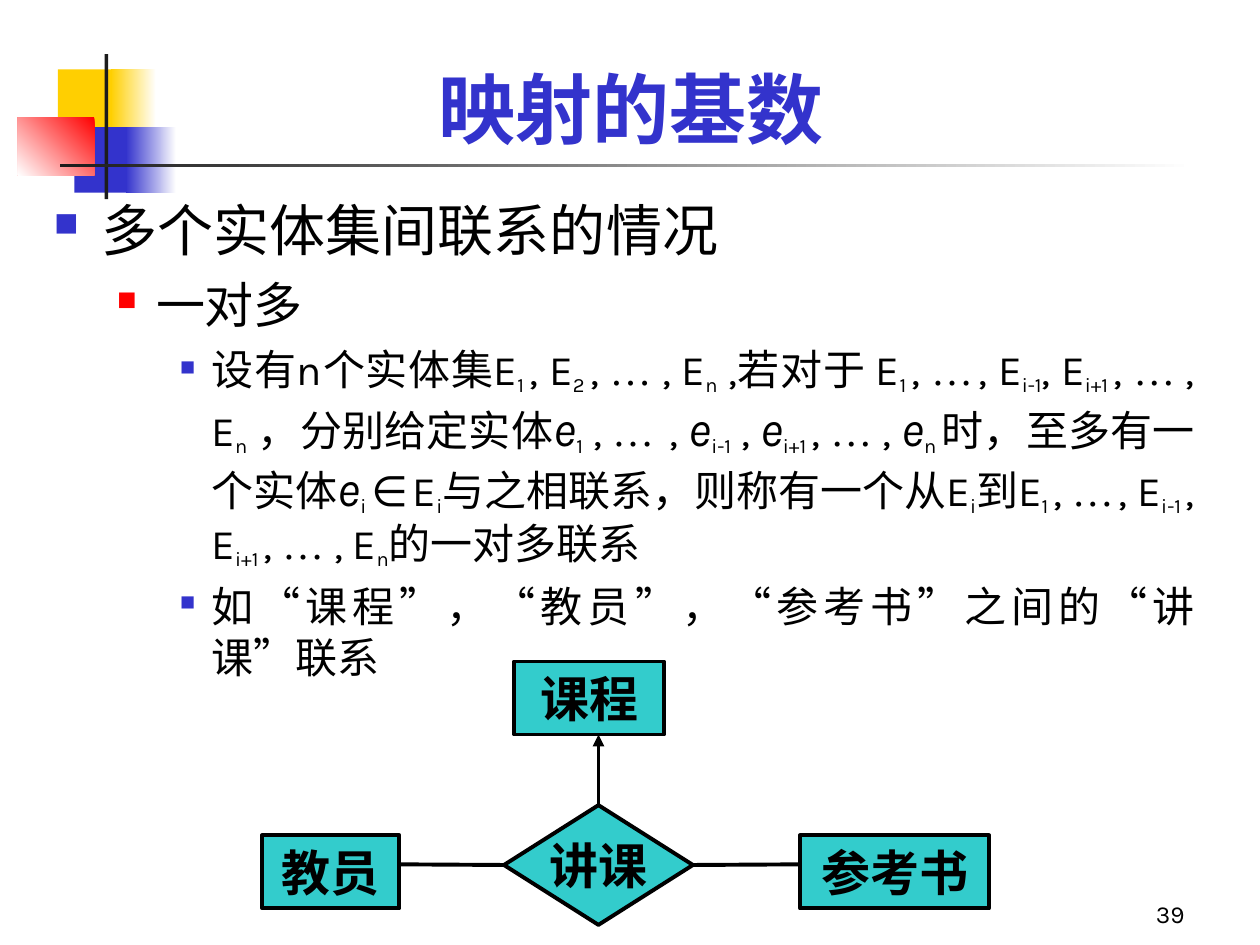
from itertools import groupby

from lxml import etree
from pptx import Presentation
from pptx.dml.color import RGBColor
from pptx.enum.shapes import MSO_CONNECTOR, MSO_SHAPE
from pptx.enum.text import MSO_ANCHOR, PP_ALIGN
from pptx.oxml.ns import qn
from pptx.util import Inches, Pt

RECTANGLE, DIAMOND = MSO_SHAPE.RECTANGLE, MSO_SHAPE.DIAMOND
STRAIGHT = MSO_CONNECTOR.STRAIGHT
TOP, MIDDLE, BOTTOM = MSO_ANCHOR.TOP, MSO_ANCHOR.MIDDLE, MSO_ANCHOR.BOTTOM
CENTER, RIGHT, JUSTIFY = PP_ALIGN.CENTER, PP_ALIGN.RIGHT, PP_ALIGN.JUSTIFY

BLACK = RGBColor(0x00, 0x00, 0x00)
WHITE = RGBColor(0xFF, 0xFF, 0xFF)
CHARCOAL = RGBColor(0x1C, 0x1C, 0x1C)
YELLOW = RGBColor(0xFF, 0xCF, 0x01)
BLUE = RGBColor(0x33, 0x33, 0xCC)
RED = RGBColor(0xFF, 0x00, 0x00)
TEAL = RGBColor(0x33, 0xCC, 0xCC)

SANS, SERIF = "Karla", "Times New Roman"
SERIF_MARKS = "…“”"
MODES = {"[": "sub", "<": "variable", "]": "plain", ">": "plain"}

LEVELS = [
    {"size": 32, "left": 0.38, "hang": 0.38, "before": 8, "bullet": BLUE, "scale": 60},
    {"size": 28, "left": 0.81, "hang": 0.31, "before": 7, "bullet": RED, "scale": 55},
    {"size": 24, "left": 1.25, "hang": 0.25, "before": 6, "bullet": BLUE, "scale": 50},
]

# fmt: off
POINTS = [
    (0, "多个实体集间联系的情况"),
    (1, "一对多"),
    (2, "设有n个实体集E[1 ], E[2 ], … , E[n] ,若对于 E[1 ], …[ ], E[i-1], E[i+1 ], … , E[n]"
        " ，分别给定实体<e>[1] , …[ ] , <e>[i-1] , <e>[i+1 ], … , <e>[n ]时，至多有一个实体"
        "<e>[i ]∈[ ]E[i]与之相联系，则称有一个从E[i]到E[1 ], …[ ], E[i-1 ], E[i+1 ], … , E[n]"
        "的一对多联系"),
    (2, "如“课程”，“教员”，“参考书”之间的“讲课”联系"),
]
# fmt: on


def set_format(target, values):
    """Set each attribute of the target from a dict of values."""
    for name, value in values.items():
        setattr(target, name, value)


def add_span(para, text, color, **values):
    """Append a run with its font values and colour."""
    span = para.add_run()
    span.text = text
    set_format(span.font, values)
    span.font.color.rgb = color
    return span


def add_text_box(page, box, anchor):
    """Add a wrapping text box and return its frame."""
    frame = page.shapes.add_textbox(*map(Inches, box)).text_frame
    set_format(frame, {"word_wrap": True, "vertical_anchor": anchor})
    return frame


def add_line_of_text(page, box, text, anchor, align, color, **values):
    """Add a text box that holds one plain line."""
    para = add_text_box(page, box, anchor).paragraphs[0]
    para.alignment = align
    add_span(para, text, color, **values)


def add_block(page, box, colors, angle=180):
    """Add a borderless rectangle with a solid or two-colour fill."""
    block = page.shapes.add_shape(RECTANGLE, *map(Inches, box))
    block.shadow.inherit = False
    block.line.fill.background()
    if len(colors) == 1:
        block.fill.solid()
        block.fill.fore_color.rgb = colors[0]
        return
    block.fill.gradient()
    block.fill.gradient_angle = angle
    for stop, color in zip(block.fill.gradient_stops, colors):
        stop.color.rgb = color


def add_ornament(page, left, top):
    """Place the coloured squares and the crossing rules."""
    blocks = [
        (0.32, 0.12, 0.48, 0.52, [YELLOW]),
        (0.74, 0.12, 0.36, 0.52, [WHITE, YELLOW]),
        (0.45, 0.58, 0.46, 0.52, [BLUE]),
        (0.86, 0.58, 0.4, 0.52, [WHITE, BLUE]),
        (0, 0.5, 0.61, 0.46, [RED, WHITE], 225),
        (0.69, 0, 0.03, 1.15, [CHARCOAL]),
        (0.34, 0.87, 9, 0.03, [WHITE, CHARCOAL]),
    ]
    for x, y, width, height, *paint in blocks:
        add_block(page, (left + x, top + y, width, height), *paint)


def add_bullet(para, level):
    """Give a paragraph the indent and square bullet of its level."""
    style = LEVELS[level]
    set_format(para, {"level": level, "alignment": JUSTIFY})
    properties = para._p.get_or_add_pPr()
    properties.set("marL", str(Inches(style["left"])))
    properties.set("indent", str(-Inches(style["hang"])))
    color = etree.SubElement(properties, qn("a:buClr"))
    etree.SubElement(color, qn("a:srgbClr"), val=str(style["bullet"]))
    etree.SubElement(properties, qn("a:buSzPct"), val=str(style["scale"] * 1000))
    etree.SubElement(properties, qn("a:buChar"), char="■")


def add_marked_text(para, text, size):
    """Write text where [ ] marks subscripts and < > marks variables."""
    mode, letters = "plain", []
    for letter in text:
        if letter in MODES:
            mode = MODES[letter]
        else:
            letters.append((letter, mode, SERIF if letter in SERIF_MARKS else SANS))
    sizes = {"plain": size, "sub": 20, "variable": 28}
    for (mode, font), group in groupby(letters, key=lambda item: item[1:]):
        words = "".join(item[0] for item in group)
        span = add_span(para, words, BLACK, name=font, size=Pt(sizes[mode]))
        if mode == "variable":
            span.font.italic = True
        elif mode == "sub":
            span.font._element.set("baseline", "-20000")


def add_points(page, box):
    """Place the bulleted text."""
    frame = add_text_box(page, box, TOP)
    for index, (level, text) in enumerate(POINTS):
        para = frame.add_paragraph() if index else frame.paragraphs[0]
        add_bullet(para, level)
        if index:
            para.space_before = Pt(LEVELS[level]["before"])
        add_marked_text(para, text, LEVELS[level]["size"])


def add_node(page, kind, box, text):
    """Add a labelled node of the diagram."""
    node = page.shapes.add_shape(kind, *map(Inches, box))
    node.shadow.inherit = False
    node.fill.solid()
    node.fill.fore_color.rgb = TEAL
    node.line.color.rgb = BLACK
    node.line.width = Pt(2.25)
    frame = node.text_frame
    values = {"word_wrap": False, "vertical_anchor": MIDDLE, "margin_top": 0, "margin_bottom": 0}
    set_format(frame, values)
    para = frame.paragraphs[0]
    para.alignment = CENTER
    add_span(para, text, BLACK, name=SERIF, size=Pt(28), bold=True)
    return node


def add_link(page, node, site, end, arrow=False):
    """Draw a line from a side of the node to an end point."""
    x, y = map(Inches, end)
    link = page.shapes.add_connector(STRAIGHT, x, y, x, y)
    link.begin_connect(node, site)
    link.line.color.rgb = BLACK
    link.line.width = Pt(2.25)
    if arrow:
        etree.SubElement(link.line._get_or_add_ln(), qn("a:tailEnd"), type="triangle")
    etree.SubElement(link._element.spPr, qn("a:effectLst"))


def add_diagram(page, left, top):
    """Place the relationship diamond, its three entities and their links."""
    height, row = 0.58, top + 1.38
    middle = top + 1.61
    diamond = add_node(page, DIAMOND, (left + 1.92, middle - 0.47, 1.5, 0.95), "讲课")
    add_link(page, diamond, 1, (left + 1.09, middle))
    add_link(page, diamond, 3, (left + 4.27, middle))
    add_link(page, diamond, 0, (left + 2.67, top + height), arrow=True)
    add_node(page, RECTANGLE, (left, row, 1.09, height), "教员")
    add_node(page, RECTANGLE, (left + 4.27, row, 1.5, height), "参考书")
    add_node(page, RECTANGLE, (left + 2, top, 1.19, height), "课程")


def main():
    """Build the slide and save it."""
    deck = Presentation()
    set_format(deck, {"slide_width": Inches(10), "slide_height": Inches(7.5)})
    page = deck.slides.add_slide(deck.slide_layouts[6])
    add_ornament(page, 0.14, 0.43)
    add_line_of_text(page, (7.42, 6.92, 2.08, 0.5), "39", BOTTOM, RIGHT, BLACK, name=SANS, size=Pt(14))
    add_points(page, (0.33, 1.5, 9.25, 4))
    add_diagram(page, 2.08, 5.25)
    title = {"name": SANS, "size": Pt(44), "bold": True}
    add_line_of_text(page, (0.75, 0.25, 8.52, 1.02), "映射的基数", BOTTOM, CENTER, BLUE, **title)
    deck.save("out.pptx")


if __name__ == "__main__":
    main()
